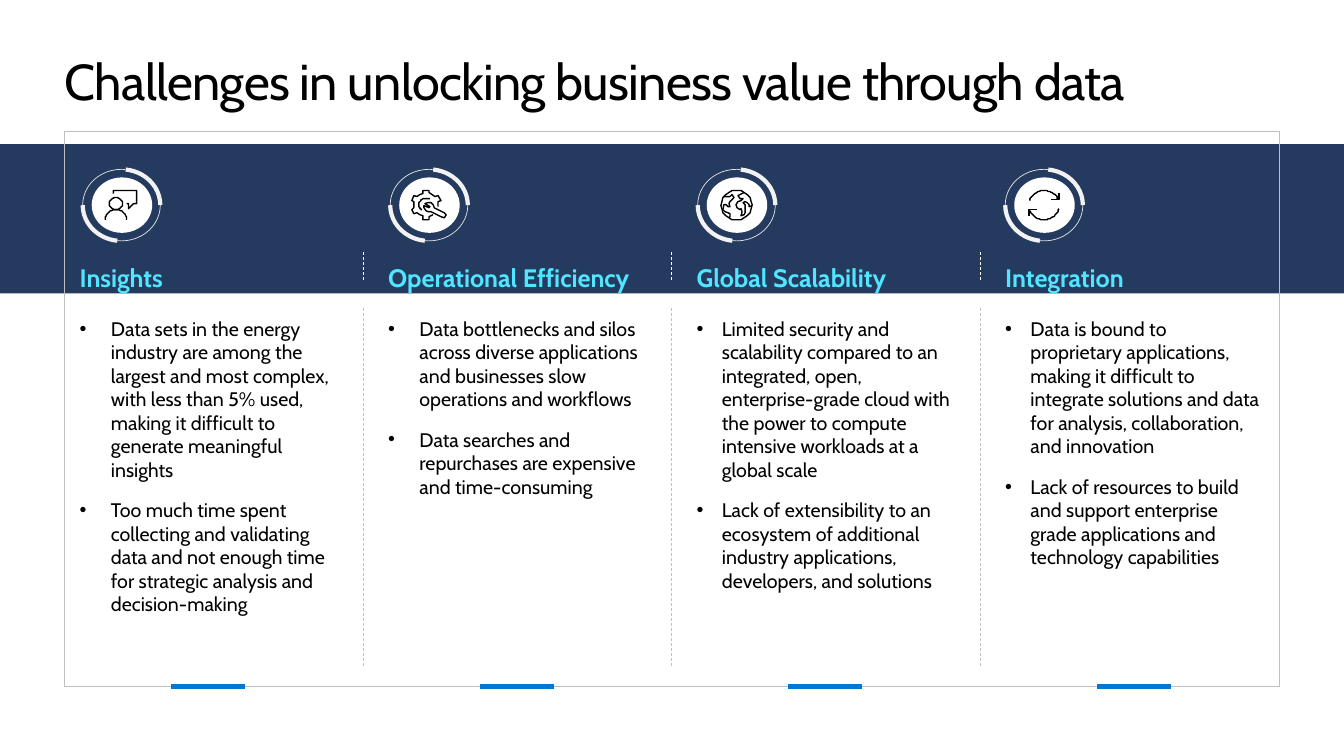
"""Build the slide on challenges in unlocking business value through data."""
from math import cos, radians, sin

from pptx import Presentation
from pptx.dml.color import RGBColor
from pptx.enum.dml import MSO_LINE
from pptx.enum.shapes import MSO_CONNECTOR, MSO_SHAPE
from pptx.oxml import parse_xml
from pptx.oxml.ns import nsdecls, qn
from pptx.util import Inches, Pt

BLACK = RGBColor(0x00, 0x00, 0x00)
WHITE = RGBColor(0xFF, 0xFF, 0xFF)
NAVY = RGBColor(0x24, 0x3A, 0x5E)
CYAN = RGBColor(0x50, 0xE6, 0xFF)
BLUE = RGBColor(0x00, 0x78, 0xD4)
GREY = RGBColor(0xBF, 0xBF, 0xBF)
THICK_RING = RGBColor(0xF2, 0xF2, 0xF2)
THIN_RING = RGBColor(0xE6, 0xE6, 0xE6)
FONT = "Cabin"

TITLE = "Challenges in unlocking business value through data"


def curve(centre_x, centre_y, radius_x, radius_y, start, end, steps=24):
    """Return points along an elliptical arc, with angles in degrees."""
    angles = [radians(start + (end - start) * i / steps) for i in range(steps + 1)]
    return [(centre_x + radius_x * cos(a), centre_y + radius_y * sin(a)) for a in angles]


SPEAKER = (32, [
    [(8, 3), (8, 0), (31, 0), (31, 13), (28, 13), (23, 18), (23, 13), (21, 13)],
    curve(10.5, 13, 6.3, 6, 0, 360),
    curve(10.5, 29, 10.5, 10, 0, -180),
])
GEAR = (34, [
    [(21, 24), (17, 26), (17, 29), (11, 29), (11, 25), (8, 24), (5, 22), (2, 23),
     (0, 19), (2, 17), (2, 11), (0, 10), (2, 5), (5, 6), (8, 4), (11, 3), (11, 0),
     (17, 0), (17, 2), (20, 4), (23, 6), (26, 5), (29, 10), (26, 11), (26, 16)],
    curve(14, 14, 7, 6.5, -60, -235),
    [(19, 21), (29, 26), (31.5, 27), (33, 26), (33.5, 24), (32, 22), (22, 17),
     (22, 16), (21, 13.5), (19, 12), (16, 12), (13, 13), (18, 16), (17, 17),
     (12, 15), (12, 17), (14, 20), (16, 21), (19, 21)],
])
GLOBE = (31, [
    curve(15.5, 14.5, 15.5, 14.5, 0, 360),
    [(8, 27), (9, 26), (9, 23), (7, 22), (4, 21), (2, 19), (3, 14), (5, 14),
     (7, 16), (9, 16), (8, 13), (9, 11), (13, 7), (11, 4), (9, 6), (3, 6)],
    [(23, 2), (17, 5), (19, 8), (22, 8), (20, 10), (17, 11), (15, 14), (16, 17),
     (19, 19), (20, 18), (21, 21), (20, 25), (23, 24), (24, 22), (24, 14),
     (22, 12), (24, 11), (26, 12), (28, 14), (28, 16), (31, 15)],
])
CYCLE = (30, [
    curve(15, 14.5, 15, 14.5, 14, 156),
    curve(15, 14.5, 15, 14.5, -22, -160),
    [(22, 9), (30, 9), (30, 2)],
    [(8, 19), (0, 19), (0, 25)],
])

CHALLENGES = [
    ("Insights", SPEAKER, 0.31, [
        "Data sets in the energy industry are among the largest and most complex, "
        "with less than 5% used, making it difficult to generate meaningful insights",
        "Too much time spent collecting and validating data and not enough time "
        "for strategic analysis and decision-making",
    ]),
    ("Operational Efficiency", GEAR, 0.31, [
        "Data bottlenecks and silos across diverse applications and businesses "
        "slow operations and workflows",
        "Data searches and repurchases are expensive and time-consuming",
    ]),
    ("Global Scalability", GLOBE, 0.25, [
        "Limited security and scalability compared to an integrated, open, "
        "enterprise-grade cloud with the power to compute intensive workloads "
        "at a global scale",
        "Lack of extensibility to an ecosystem of additional industry "
        "applications, developers, and solutions",
    ]),
    ("Integration", CYCLE, 0.25, [
        "Data is bound to proprietary applications, making it difficult to "
        "integrate solutions and data for analysis, collaboration, and innovation",
        "Lack of resources to build and support enterprise grade applications "
        "and technology capabilities",
    ]),
]

LEFT, WIDTH, COLUMN_PITCH, RING_PITCH = 0.64, 12.05, 3.06, 3.05
RING_ARCS = [(276.75, 0, 0, THICK_RING, 3), (0, 276, 0, THIN_RING, 0.5),
             (276.75, 0, 180, THICK_RING, 3)]


def add_outline(shape, color, weight):
    shape.shadow.inherit = False
    shape.fill.background()
    shape.line.color.rgb = color
    shape.line.width = Pt(weight)


def add_filled(slide, preset, box, color):
    shape = slide.shapes.add_shape(preset, *map(Inches, box))
    shape.shadow.inherit = False
    shape.fill.solid()
    shape.fill.fore_color.rgb = color
    shape.line.fill.background()


def add_rule(slide, start, end, color, weight, dash=None):
    rule = slide.shapes.add_connector(MSO_CONNECTOR.STRAIGHT, *map(Inches, start + end))
    rule.line.color.rgb = color
    rule.line.width = Pt(weight)
    if dash:
        rule.line.dash_style = dash
    rule.element.spPr.append(parse_xml(f"<a:effectLst {nsdecls('a')}/>"))


def add_text(slide, box, insets, lines, size, color, bold=False):
    frame = slide.shapes.add_textbox(*map(Inches, box)).text_frame
    frame.word_wrap = True
    (frame.margin_left, frame.margin_top,
     frame.margin_right, frame.margin_bottom) = map(Inches, insets)
    frame.text = "\n".join(lines)
    for paragraph in frame.paragraphs:
        font = paragraph.runs[0].font
        font.name, font.size, font.bold = FONT, Pt(size), bold
        font.color.rgb = color
    return frame


def add_bullets(frame, indent):
    for paragraph in frame.paragraphs:
        paragraph.space_before = Pt(12)
        properties = paragraph.runs[0].font and paragraph._p.get_or_add_pPr()
        properties.set("marL", str(Inches(indent)))
        properties.set("indent", str(-Inches(indent)))
        properties.append(parse_xml(f'<a:buFont {nsdecls("a")} typeface="Arial"/>'))
        properties.append(parse_xml(f'<a:buChar {nsdecls("a")} char="•"/>'))


def add_badge(slide, left, icon):
    add_filled(slide, MSO_SHAPE.OVAL, (left + 0.09, 1.76, 0.6, 0.55), WHITE)
    for start, end, rotation, color, weight in RING_ARCS:
        ring = slide.shapes.add_shape(
            MSO_SHAPE.ARC, Inches(left), Inches(1.68), Inches(0.77), Inches(0.71))
        ring.adjustments[0], ring.adjustments[1] = start * 0.6, end * 0.6
        ring.rotation = rotation
        add_outline(ring, color, weight)
    icon_width, strokes = icon
    builder = slide.shapes.build_freeform(*strokes[0][0], scale=Inches(0.01))
    for stroke in strokes:
        builder.move_to(*stroke[0])
        builder.add_line_segments(stroke[1:], close=stroke[0] == stroke[-1])
    icon_left = left + 0.385 - icon_width / 200
    add_outline(builder.convert_to_shape(Inches(icon_left), Inches(1.89)), BLACK, 1)


def main():
    presentation = Presentation()
    presentation.slide_width, presentation.slide_height = Inches(13.33), Inches(7.5)
    slide = presentation.slides.add_slide(presentation.slide_layouts[6])

    title = add_text(slide, (LEFT, 0.5, WIDTH, 0.61), (0, 0, 0, 0), [TITLE], 36, BLACK)
    title.paragraphs[0].runs[0].font._element.set("spc", "-50")
    add_filled(slide, MSO_SHAPE.RECTANGLE, (0, 1.43, 13.33, 1.48), NAVY)
    panel = slide.shapes.add_shape(
        MSO_SHAPE.RECTANGLE, Inches(LEFT), Inches(1.3), Inches(WIDTH), Inches(5.51))
    add_outline(panel, GREY, 0.5)

    for column, (heading, icon, indent, points) in enumerate(CHALLENGES):
        left = LEFT + column * COLUMN_PITCH
        add_rule(slide, (left + 1.06, 6.81), (left + 1.79, 6.81), BLUE, 3)
        if column:
            divider = left - 0.1
            add_rule(slide, (divider, 2.5), (divider, 2.79), WHITE, 0.5, MSO_LINE.DASH)
            add_rule(slide, (divider, 3.06), (divider, 6.63), GREY, 0.5, MSO_LINE.DASH)
        add_badge(slide, 0.82 + column * RING_PITCH, icon)
        add_text(slide, (left, 2.6, 2.85, 0.3), (0.15, 0, 0, 0), [heading], 18, CYAN, True)
        body = add_text(slide, (left, 3.04, 2.85, 4.06), (0.15, 0.1, 0.15, 0.1),
                        points, 14, BLACK)
        add_bullets(body, indent)

    presentation.save("out.pptx")


if __name__ == "__main__":
    main()
